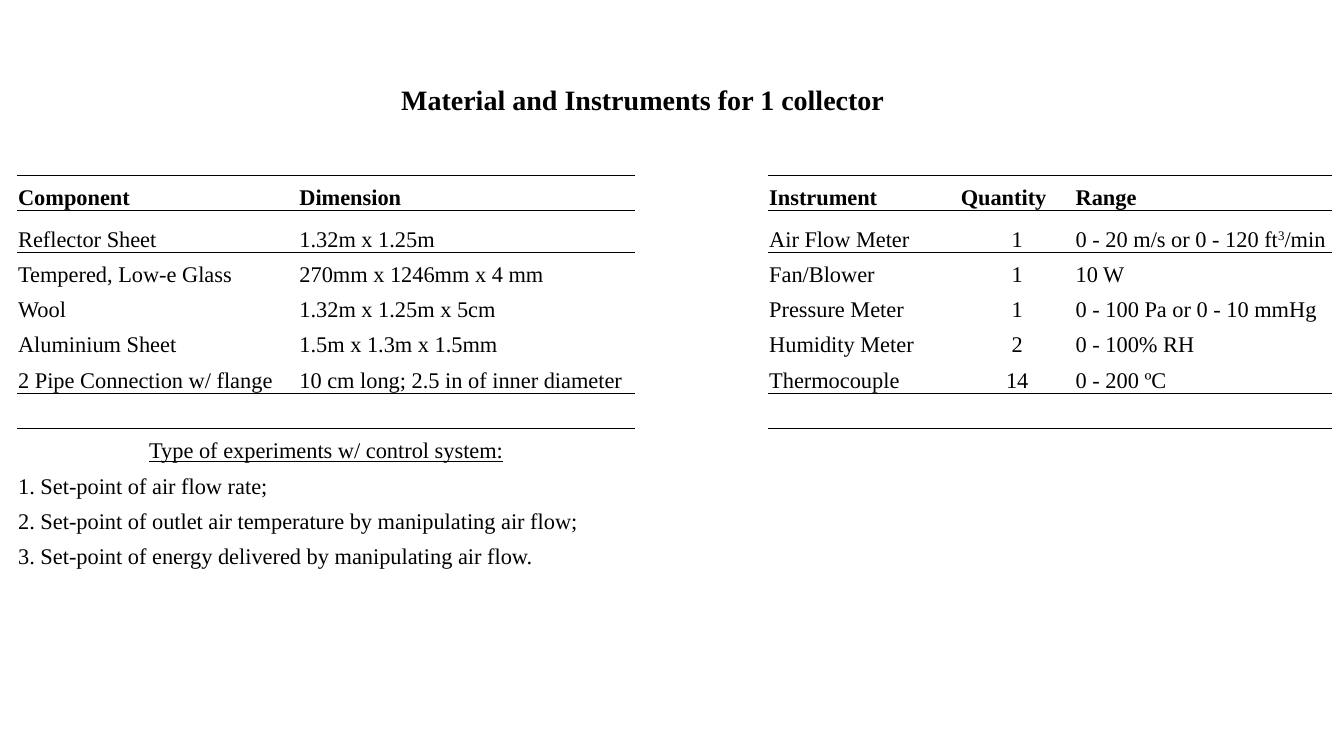
from lxml.etree import SubElement
from pptx import Presentation
from pptx.dml.color import RGBColor
from pptx.enum.text import MSO_ANCHOR, PP_ALIGN
from pptx.oxml.ns import qn
from pptx.util import Inches, Pt

BLACK = RGBColor(0, 0, 0)
FONT = "Times New Roman"
NO_STYLE_NO_GRID = "{2D5ABB26-0587-4C30-8999-92F81FD0307C}"

COLUMN_WIDTHS = [2.79, 3.34, 1.32, 1.9, 1.14, 2.55]
ROW_HEIGHT = 0.35
FIRST_ITEM_HEIGHT = 0.41
GAP_COLUMN, QUANTITY_COLUMN = 2, 4

# Text between carets is superscript.
ROWS = [
    ["Component", "Dimension", "", "Instrument", "Quantity", "Range"],
    ["Reflector Sheet", "1.32m x 1.25m", "",
     "Air Flow Meter", "1", "0 - 20 m/s or 0 - 120 ft^3^/min"],
    ["Tempered, Low-e Glass", "270mm x 1246mm x 4 mm", "", "Fan/Blower", "1", "10 W"],
    ["Wool", "1.32m x 1.25m x 5cm", "", "Pressure Meter", "1", "0 - 100 Pa or 0 - 10 mmHg"],
    ["Aluminium Sheet", "1.5m x 1.3m x 1.5mm", "", "Humidity Meter", "2", "0 - 100% RH"],
    ["2 Pipe Connection w/ flange", "10 cm long; 2.5 in of inner diameter", "",
     "Thermocouple", "14", "0 - 200 ºC"],
]
EXPERIMENTS = [
    "Type of experiments w/ control system:",
    "1. Set-point of air flow rate;",
    "2. Set-point of outlet air temperature by manipulating air flow;",
    "3. Set-point of energy delivered by manipulating air flow.",
]
EXPERIMENTS_ROW = len(ROWS) + 1
ROW_COUNT = EXPERIMENTS_ROW + len(EXPERIMENTS)
RULED_EDGES = {0, 1, len(ROWS)}


def write(frame, text, size=16, bold=False, underline=False, align=PP_ALIGN.LEFT):
    """Fill a text frame, raising the text between carets."""
    para = frame.paragraphs[0]
    para.alignment = align
    for index, part in enumerate(text.split("^")):
        span = para.add_run()
        span.text = part
        span.font.name = FONT
        span.font.size = Pt(size)
        span.font.bold = bold
        span.font.underline = underline
        span.font.color.rgb = BLACK
        if index % 2:
            span.font._element.set("baseline", "30000")


def add_rule(cell, side):
    """Draw a thin black border on one side of a cell."""
    line = SubElement(cell._tc.get_or_add_tcPr(), qn(f"a:ln{side}"), w=str(Pt(0.5)))
    fill = SubElement(line, qn("a:solidFill"))
    SubElement(fill, qn("a:srgbClr"), val=str(BLACK))


deck = Presentation()
deck.slide_width, deck.slide_height = Inches(13.33), Inches(7.5)
page = deck.slides.add_slide(deck.slide_layouts[6])

table = page.shapes.add_table(
    ROW_COUNT, len(COLUMN_WIDTHS), Inches(0.17), Inches(1.74),
    Inches(sum(COLUMN_WIDTHS)), Inches(ROW_HEIGHT * ROW_COUNT)).table
table.first_row = table.horz_banding = False
table._tbl.tblPr.find(qn("a:tableStyleId")).text = NO_STYLE_NO_GRID
for column, width in zip(table.columns, COLUMN_WIDTHS):
    column.width = Inches(width)
for row in table.rows:
    row.height = Inches(ROW_HEIGHT)
table.rows[1].height = Inches(FIRST_ITEM_HEIGHT)

for row_index in range(ROW_COUNT):
    for column_index in range(len(COLUMN_WIDTHS)):
        cell = table.cell(row_index, column_index)
        cell.vertical_anchor = MSO_ANCHOR.BOTTOM
        cell.margin_left = cell.margin_right = cell.margin_top = Inches(0.01)
        cell.margin_bottom = 0
        if column_index != GAP_COLUMN:
            if row_index in RULED_EDGES:
                add_rule(cell, "T")
            if row_index + 1 in RULED_EDGES:
                add_rule(cell, "B")
        cell.fill.background()

for row_index, texts in enumerate(ROWS):
    for column_index, text in enumerate(texts):
        if text:
            centred = row_index > 0 and column_index == QUANTITY_COLUMN
            write(table.cell(row_index, column_index).text_frame, text,
                  bold=row_index == 0,
                  align=PP_ALIGN.CENTER if centred else PP_ALIGN.LEFT)

for index, text in enumerate(EXPERIMENTS):
    row_index = EXPERIMENTS_ROW + index
    cell = table.cell(row_index, 0)
    cell.merge(table.cell(row_index, 1))
    heading = index == 0
    write(cell.text_frame, text, underline=heading,
          align=PP_ALIGN.CENTER if heading else PP_ALIGN.LEFT)

title = page.shapes.add_textbox(Inches(3.88), Inches(0.77), Inches(5.03), Inches(0.44))
title.text_frame.word_wrap = False
write(title.text_frame, "Material and Instruments for 1 collector", size=20, bold=True)

deck.save("out.pptx")
